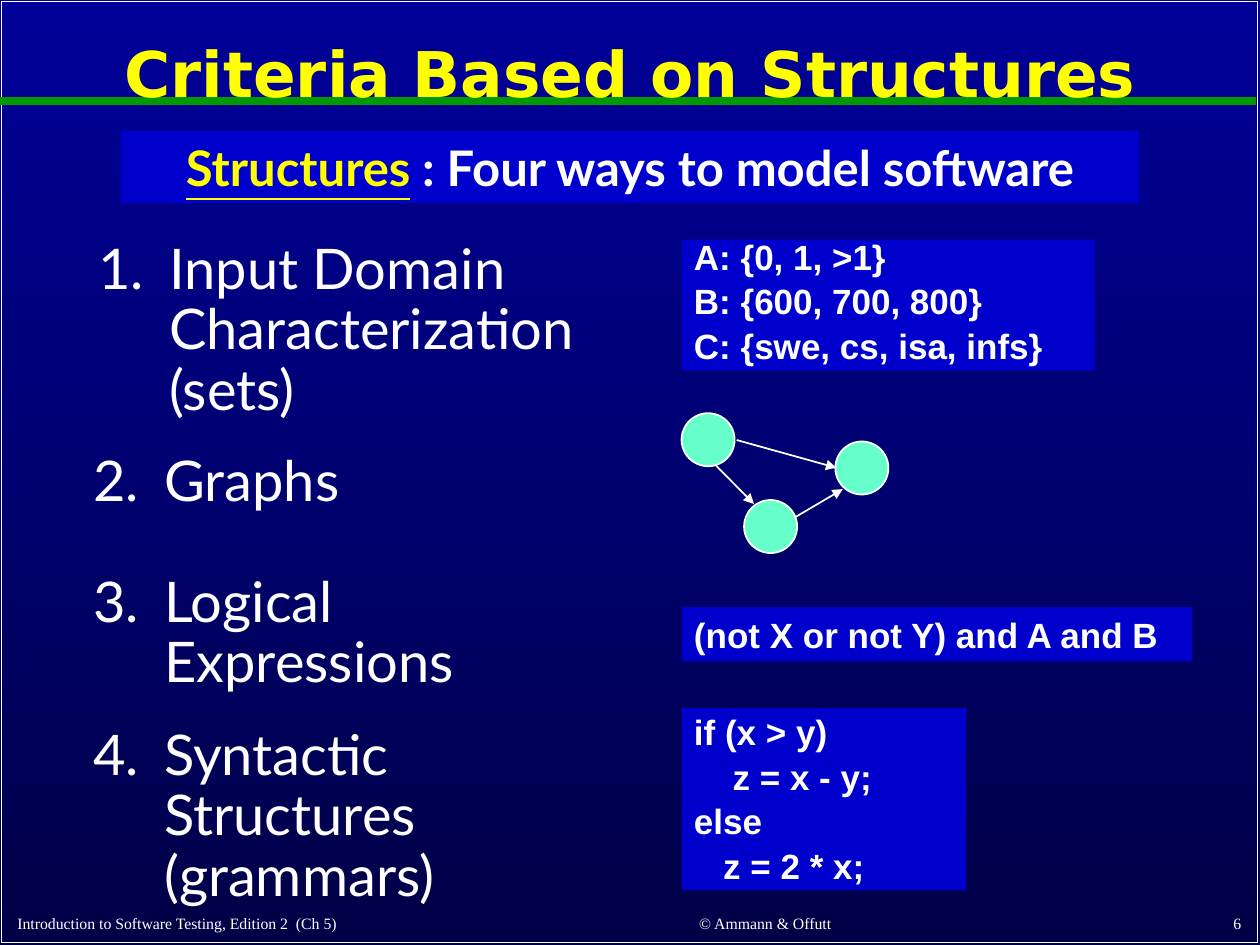
from lxml.etree import SubElement
from pptx import Presentation
from pptx.dml.color import RGBColor
from pptx.enum.shapes import MSO_CONNECTOR, MSO_SHAPE
from pptx.enum.text import MSO_ANCHOR, PP_ALIGN
from pptx.oxml.ns import qn
from pptx.util import Cm, Pt

WHITE = RGBColor(0xFF, 0xFF, 0xFF)
YELLOW = RGBColor(0xFF, 0xFF, 0x00)
GREEN = RGBColor(0x00, 0x99, 0x00)
MINT = RGBColor(0x66, 0xFF, 0xCC)
BLUE = RGBColor(0x00, 0x00, 0xCC)
NAVY = RGBColor(0x00, 0x00, 0x99)
DARK = RGBColor(0x00, 0x00, 0x47)

WIDE, HIGH = 25.4, 19.05
RIGHT = 13.74   # left edge of the examples
NODE = 1.07     # diameter of a graph node


def style(para, name, size, color=WHITE, bold=False):
    font = para.font
    font.name, font.size, font.bold = name, Pt(size), bold
    font.color.rgb = color


def add_text(slide, box, anchor):
    frame = slide.shapes.add_textbox(*map(Cm, box)).text_frame
    frame.word_wrap = True
    frame.vertical_anchor = anchor
    return frame


def add_form(shapes, kind, box, fill=None, line=None):
    form = shapes.add_shape(kind, *map(Cm, box))
    form.shadow.inherit = False
    if fill is None:
        form.fill.background()
    else:
        form.fill.solid()
        form.fill.fore_color.rgb = fill
    if line is None:
        form.line.fill.background()
    else:
        form.line.color.rgb = line
        form.line.width = Pt(1)
    return form


def add_line(shapes, ends, color, width, arrow=False):
    line = shapes.add_connector(MSO_CONNECTOR.STRAIGHT, *map(Cm, ends))
    line.line.color.rgb = color
    line.line.width = Pt(width)
    props = line._element.spPr
    if arrow:
        SubElement(props.find(qn("a:ln")), qn("a:tailEnd"), type="triangle")
    SubElement(props, qn("a:effectLst"))


def add_frame(slide):
    """Background, border and rule."""
    fill = slide.background.fill
    fill.gradient()
    fill.gradient_angle = 270
    for stop, color in zip(fill.gradient_stops, (NAVY, DARK)):
        stop.color.rgb = color
    add_form(slide.shapes, MSO_SHAPE.RECTANGLE,
             (0.03, 0.03, WIDE - 0.08, HIGH - 0.08), line=WHITE)
    add_line(slide.shapes, (0, 2.03, WIDE - 0.08, 2.03), GREEN, 4.5)


def add_title(slide, box, text):
    para = add_text(slide, box, MSO_ANCHOR.MIDDLE).paragraphs[0]
    para.text = text
    para.alignment = PP_ALIGN.CENTER
    para.line_spacing = 0.9
    style(para, "DejaVu Sans", 36, YELLOW, True)


def add_foot(slide, box, text, align):
    para = add_text(slide, box, MSO_ANCHOR.BOTTOM).paragraphs[0]
    para.text = text
    para.alignment = align
    style(para, "Times New Roman", 9)


def add_banner(slide, box, term, rest):
    form = add_form(slide.shapes, MSO_SHAPE.RECTANGLE, box, BLUE)
    form.text_frame.vertical_anchor = MSO_ANCHOR.TOP
    para = form.text_frame.paragraphs[0]
    para.alignment = PP_ALIGN.CENTER
    style(para, "Lato", 28, bold=True)
    head = para.add_run()
    head.text = term
    head.font.underline = True
    head.font.color.rgb = YELLOW
    para.add_run().text = rest


def add_item(slide, box, number, text):
    """One numbered entry of the list."""
    para = add_text(slide, box, MSO_ANCHOR.MIDDLE).paragraphs[0]
    para.text = text
    para.line_spacing = 0.9
    style(para, "Lato", 32)
    props = para._p.get_or_add_pPr()
    props.set("marL", str(Cm(1.43)))
    props.set("indent", str(-Cm(1.43)))
    mark = props.makeelement(qn("a:buAutoNum"),
                             {"type": "arabicPeriod", "startAt": str(number)})
    props.find(qn("a:defRPr")).addprevious(mark)


def add_code(slide, box, lines):
    """Blue panel; each line is a pair of indent and text."""
    form = add_form(slide.shapes, MSO_SHAPE.RECTANGLE, box, BLUE)
    frame = form.text_frame
    frame.vertical_anchor = MSO_ANCHOR.BOTTOM
    for i, (indent, text) in enumerate(lines):
        para = frame.add_paragraph() if i else frame.paragraphs[0]
        para.text = text
        para.alignment = PP_ALIGN.LEFT
        if len(lines) > 1:
            para.line_spacing = 0.6
            para.space_before = Pt(11)
        if indent:
            para._p.get_or_add_pPr().set("marL", str(Cm(indent)))
        style(para, "Arial", 20, bold=True)


def add_graph(slide, left, top):
    """Three nodes and the arrows between them."""
    shapes = slide.shapes.add_group_shape().shapes
    for x, y in ((0, 0), (3.1, 0.57), (1.26, 1.75)):
        add_form(shapes, MSO_SHAPE.OVAL,
                 (left + x, top + y, NODE, NODE), MINT, WHITE)
    for x1, y1, x2, y2 in ((1.11, 0.54, 3.12, 1.1), (0.67, 1.03, 1.46, 1.83),
                           (2.3, 2.09, 3.25, 1.53)):
        add_line(shapes, (left + x1, top + y1, left + x2, top + y2),
                 WHITE, 1, arrow=True)


def main():
    deck = Presentation()
    deck.slide_width, deck.slide_height = Cm(WIDE), Cm(HIGH)
    slide = deck.slides.add_slide(deck.slide_layouts[6])

    add_frame(slide)
    add_title(slide, (0.13, 0.28, 25.15, 2.54), "Criteria Based on Structures")
    for left, width, text, align in (
            (0.1, 10.67, "Introduction to Software Testing, Edition 2  (Ch 5)",
             PP_ALIGN.LEFT),
            (11.4, 8.05, "© Ammann & Offutt", PP_ALIGN.CENTER),
            (19.99, 5.28, "6", PP_ALIGN.RIGHT)):
        add_foot(slide, (left, 18.22, width, 0.71), text, align)
    add_banner(slide, (2.44, 2.64, 20.52, 1.45),
               "Structures", " : Four ways to model software")

    # Numbered list
    items = ((1.73, 4.83, 3.71, "Input Domain Characterization (sets)"),
             (1.63, 8.92, 1.63, "Graphs"),
             (1.63, 11.76, 2.06, "Logical Expressions"),
             (1.63, 15.01, 2.95, "Syntactic Structures (grammars)"))
    for number, (left, top, height, text) in enumerate(items, 1):
        add_item(slide, (left, top, 11.15, height), number, text)

    # One example for each entry
    add_code(slide, (RIGHT, 4.83, 8.33, 2.64),
             ((0, "A: {0, 1, >1}"), (0, "B: {600, 700, 800}"),
              (0, "C: {swe, cs, isa, infs}")))
    add_graph(slide, RIGHT, 8.33)
    add_code(slide, (RIGHT, 12.24, 10.29, 1.09),
             ((0, "(not X or not Y) and A and B"),))
    add_code(slide, (RIGHT, 14.27, 5.74, 3.68),
             ((0, "if (x > y)"), (0.78, "z = x - y;"),
              (0, "else"), (0.59, "z = 2 * x;")))

    deck.save("out.pptx")


if __name__ == "__main__":
    main()
